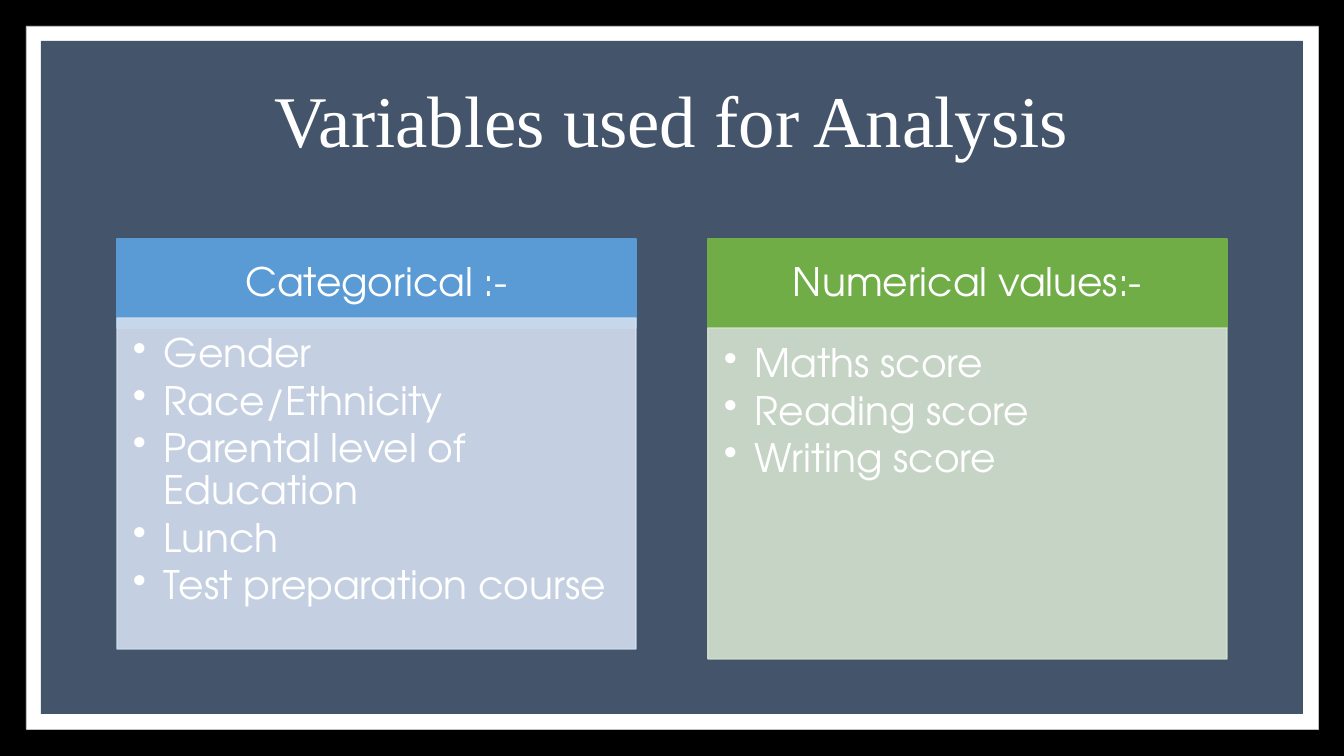
from dataclasses import dataclass

from lxml.etree import SubElement
from pptx import Presentation
from pptx.dml.color import RGBColor
from pptx.enum.shapes import MSO_SHAPE
from pptx.enum.text import MSO_ANCHOR, PP_ALIGN
from pptx.oxml.ns import qn
from pptx.util import Pt

PX = 914400 / 100.8


@dataclass(frozen=True)
class Theme:
    """Colours, fonts and type sizes of the slide."""
    black: str = "000000"
    white: str = "FFFFFF"
    border: str = "BFBFBF"
    slate: str = "44546A"
    blue: str = "5B9BD5"
    pale_blue: str = "D2DEEF"
    green: str = "70AD47"
    pale_green: str = "D5E3CF"
    title_font: str = "Times New Roman"
    body_font: str = "TeX Gyre Adventor"
    title_size: int = 52
    body_size: int = 28


THEME = Theme()


def px(n):
    """Turn pixels into EMU."""
    return round(n * PX)


def set_all(obj, values):
    """Set every attribute in a dict of format values."""
    for name, value in values.items():
        setattr(obj, name, value)


def paint(fill, color, alpha=None):
    """Give a fill a solid colour, with an optional opacity in percent."""
    fill.solid()
    fill.fore_color.rgb = RGBColor.from_string(color)
    if alpha is not None:
        clr = fill._xPr.find(qn("a:solidFill"))[0]
        SubElement(clr, qn("a:alpha"), val=str(alpha * 1000))


def add_box(s, box, color, line=None, width=1, alpha=None):
    """Add a plain rectangle and return it."""
    sp = s.shapes.add_shape(MSO_SHAPE.RECTANGLE, *map(px, box))
    sp.shadow.inherit = False
    paint(sp.fill, color, alpha)
    if line:
        paint(sp.line.fill, line, alpha)
        sp.line.width = Pt(width)
    else:
        sp.line.fill.background()
    return sp


def add_bullet(p, indent):
    """Give a paragraph a hanging round bullet."""
    pPr = p._p.get_or_add_pPr()
    pPr.set("marL", str(px(indent)))
    pPr.set("indent", str(-px(indent)))
    SubElement(pPr, qn("a:buChar"), char="•")


def write(sp, lines, font, size, margins, anchor, align, after=0, indent=0):
    """Fill a shape with white paragraphs, bulleted when indented."""
    tf = sp.text_frame
    sides = ("margin_left", "margin_top", "margin_right", "margin_bottom")
    set_all(tf, dict(zip(sides, map(px, margins)),
                     word_wrap=True, vertical_anchor=anchor))
    for i, line in enumerate(lines):
        p = tf.add_paragraph() if i else tf.paragraphs[0]
        set_all(p, {"alignment": align, "line_spacing": 0.9,
                    "space_after": Pt(after)})
        if indent:
            add_bullet(p, indent)
        r = p.add_run()
        r.text = line
        set_all(r.font, {"name": font, "size": Pt(size)})
        r.font.color.rgb = RGBColor.from_string(THEME.white)


def add_frame(s, box):
    """Draw the white frame and the slate panel inside it."""
    x, y, w, h = box
    add_box(s, box, THEME.white, THEME.border, 0.5)
    add_box(s, (x + 15, y + 15, w - 30, h - 30), THEME.slate)


def add_title(s, box, text):
    """Place the centred slide title."""
    sp = s.shapes.add_textbox(*map(px, box))
    write(sp, [text], THEME.title_font, THEME.title_size, (10, 5, 10, 5),
          MSO_ANCHOR.MIDDLE, PP_ALIGN.CENTER)


def add_variables(s, box, heading, items, color, pale, overlap):
    """Place a heading bar with a bulleted panel below it."""
    x, y, w, h = box
    bar = 89
    header = add_box(s, (x, y, w, bar), color, color)
    write(header, [heading], THEME.body_font, THEME.body_size,
          (22, 12, 22, 12), MSO_ANCHOR.MIDDLE, PP_ALIGN.CENTER)
    panel = add_box(s, (x, y + bar - overlap, w, h - bar), pale, pale, alpha=90)
    write(panel, items, THEME.body_font, THEME.body_size,
          (16, 16, 22, 24), MSO_ANCHOR.TOP, PP_ALIGN.LEFT, 3.6, 31)


def main():
    """Build the slide and save it."""
    prs = Presentation()
    set_all(prs, {"slide_width": px(1344), "slide_height": px(756)})
    s = prs.slides.add_slide(prs.slide_layouts[6])
    paint(s.background.fill, THEME.black)
    add_frame(s, (26, 26, 1292, 703))
    add_title(s, (92, 61, 1159, 125), "Variables used for Analysis")
    columns = [
        ("Categorical :-",
         ["Gender", "Race/Ethnicity", "Parental level of Education", "Lunch",
          "Test preparation course"],
         THEME.blue, THEME.pale_blue, 10),
        ("Numerical values:-",
         ["Maths score", "Reading score", "Writing score"],
         THEME.green, THEME.pale_green, 0),
    ]
    for i, column in enumerate(columns):
        add_variables(s, (117 + 591 * i, 239, 519, 420), *column)
    prs.save("out.pptx")


if __name__ == "__main__":
    main()
